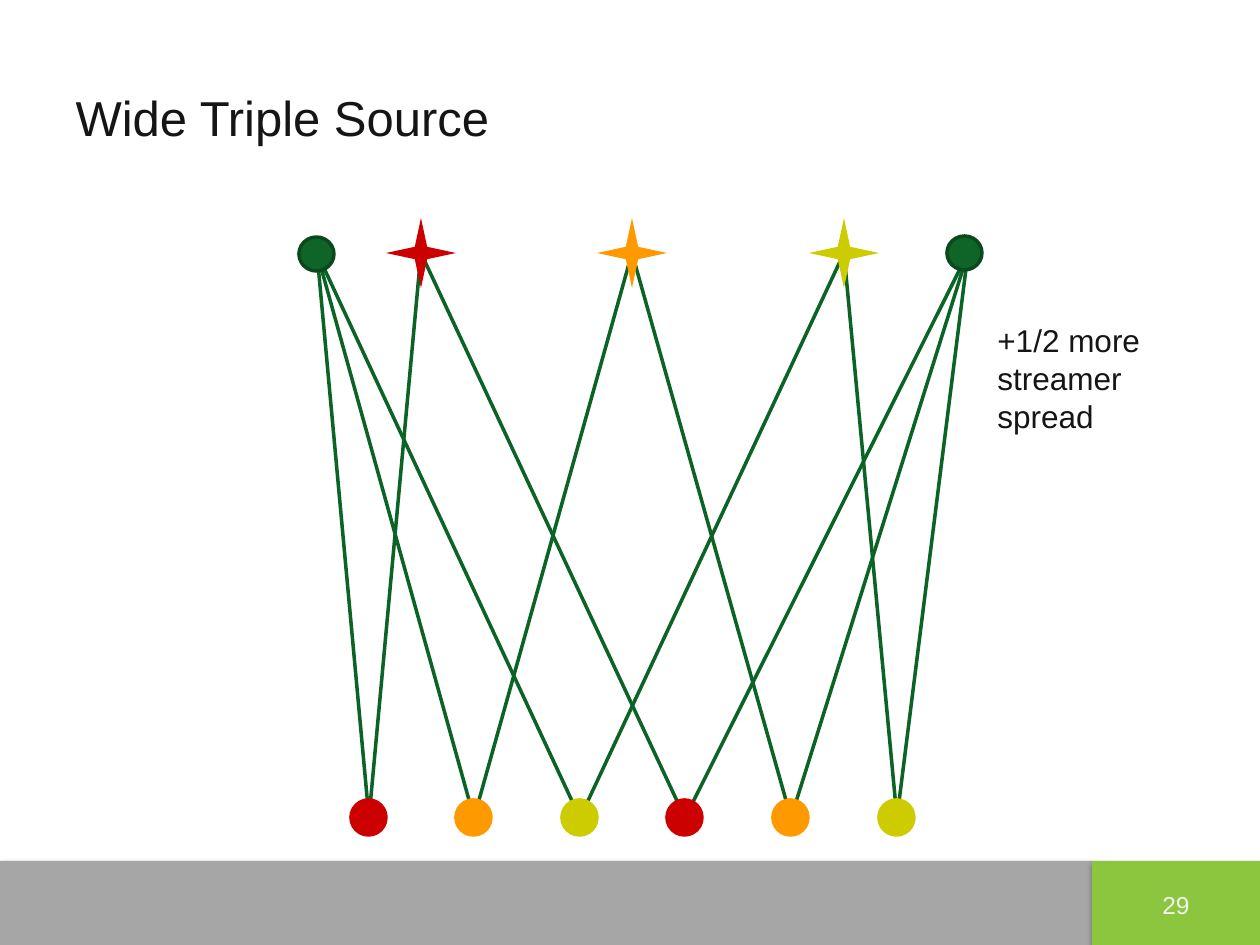
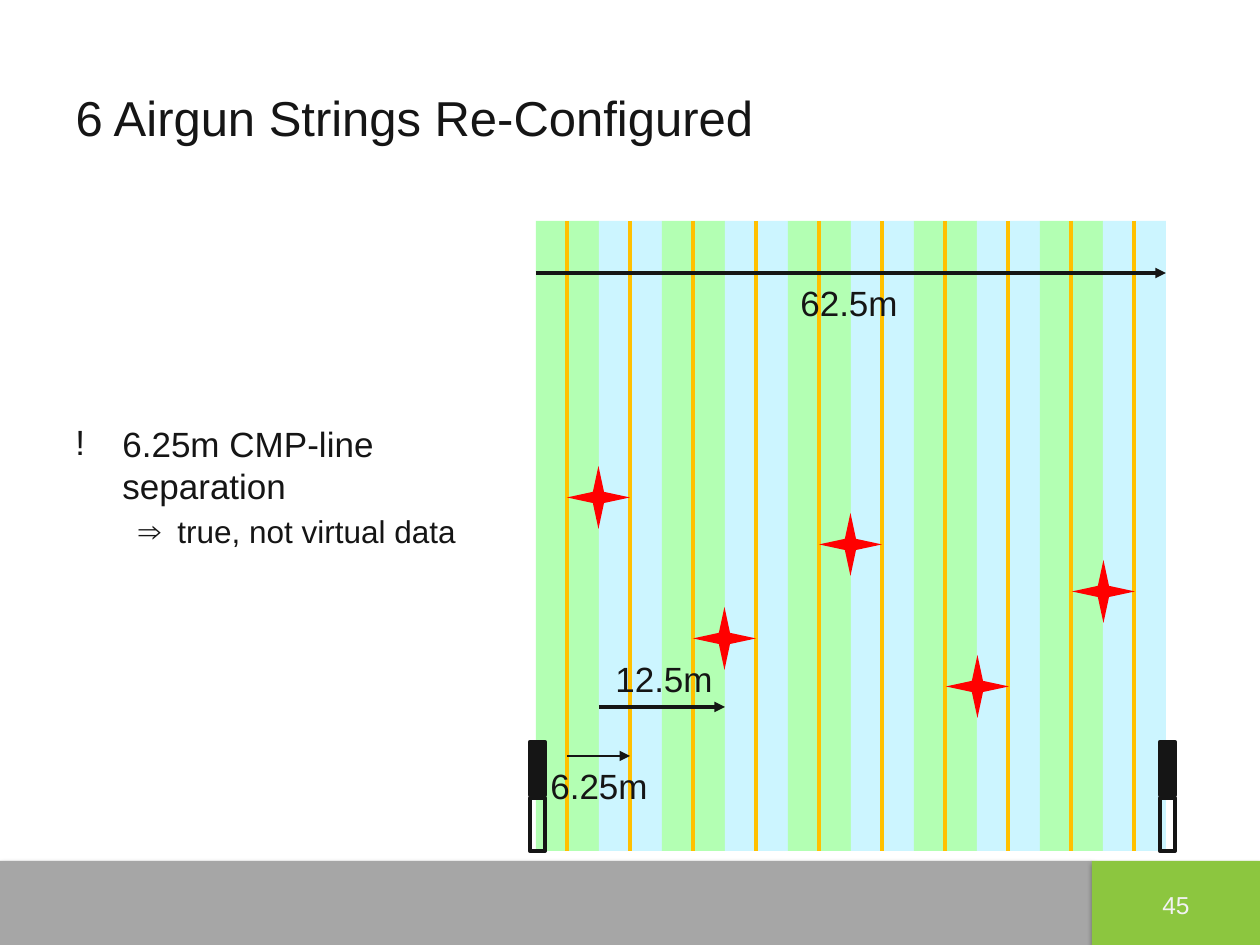
from dataclasses import dataclass

from lxml.etree import SubElement
from pptx import Presentation
from pptx.dml.color import RGBColor
from pptx.enum.shapes import MSO_CONNECTOR as Connector, MSO_SHAPE as Preset
from pptx.enum.text import MSO_ANCHOR as Anchor, MSO_AUTO_SIZE as AutoSize, PP_ALIGN as Align
from pptx.oxml.ns import qn
from pptx.util import Inches, Pt

PX = 7257


@dataclass(frozen=True)
class Theme:
    font: str = "Arial"
    text: str = "151515"
    footer: str = "A6A6A6"
    accent: str = "8CC63F"
    footer_text: str = "F2F2F2"
    ray: str = "0C6326"
    buoy: str = "0F6428"
    buoy_edge: str = "0B491D"
    sources: tuple = ("CC0000", "FF9900", "CCCC00")
    stripes: tuple = ("B3FFB3", "CCF5FF")
    cmp_line: str = "FFC000"
    airgun: str = "FF0000"
    title_size: int = 28
    body_size: int = 20
    detail_size: int = 18
    number_size: int = 14


theme = Theme()


def draw_shape(slide, preset, box, fill=None, edge=None, weight=2):
    shape = slide.shapes.add_shape(preset, *[value * PX for value in box])
    shape.shadow.inherit = False
    if fill:
        shape.fill.solid()
        shape.fill.fore_color.rgb = RGBColor.from_string(fill)
    else:
        shape.fill.background()
    if edge:
        shape.line.color.rgb = RGBColor.from_string(edge)
        shape.line.width = Pt(weight)
    else:
        shape.line.fill.background()
    if preset == Preset.STAR_4_POINT:
        shape.adjustments[0] = 0.125
    return shape


def draw_line(slide, start, end, color, weight, arrow=False):
    line = slide.shapes.add_connector(
        Connector.STRAIGHT, *[value * PX for value in (*start, *end)])
    line.line.color.rgb = RGBColor.from_string(color)
    line.line.width = Pt(weight)
    if arrow:
        SubElement(line.line._get_or_add_ln(), qn("a:tailEnd"), type="triangle")
    SubElement(line._element.spPr, qn("a:effectLst"))


presentation = Presentation()
presentation.slide_width = Inches(10)
presentation.slide_height = Inches(7.5)

slides = []
for title_text in ("Wide Triple Source", "6 Airgun Strings Re-Configured"):
    slide = presentation.slides.add_slide(presentation.slide_layouts[5])
    slides.append(slide)
    for left, width, color in ((0, 1092, theme.footer), (1092, 168, theme.accent)):
        band = draw_shape(slide, Preset.RECTANGLE, (left, 861, width, 84), color)
        effects = band._element.spPr.find(qn("a:effectLst"))
        shadow = SubElement(effects, qn("a:outerShdw"), blurRad="39370",
                            dist="22860", dir="5400000", rotWithShape="0")
        shadow_color = SubElement(shadow, qn("a:srgbClr"), val="000000")
        SubElement(shadow_color, qn("a:alpha"), val="35000")
    title = slide.shapes.title
    title.left, title.top, title.width, title.height = [
        value * PX for value in (63, 38, 1134, 157)]
    frame = title.text_frame
    frame.auto_size = AutoSize.NONE
    frame.vertical_anchor = Anchor.MIDDLE
    paragraph = frame.paragraphs[0]
    paragraph.alignment = Align.LEFT
    run = paragraph.add_run()
    run.text = title_text
    run.font.name = theme.font
    run.font.size = Pt(theme.title_size)
    run.font.color.rgb = RGBColor.from_string(theme.text)

source_slide, airgun_slide = slides

buoys = ((317, 254), (965, 253))
buoy_ends = ((317, 253), (968, 253))
sources = [(421 + 423 * index // 2, 253) for index in range(3)]
receivers = [(369 + 528 * index // 5, 818) for index in range(6)]
for index, receiver in enumerate(receivers):
    for start in (buoy_ends[index // 3], sources[index % 3]):
        draw_line(source_slide, start, receiver, theme.ray, 2)
for x, y in buoys:
    draw_shape(source_slide, Preset.OVAL, (x - 18, y - 17, 35, 34),
               theme.buoy, theme.buoy_edge)
for (x, y), color in zip(sources, theme.sources):
    draw_shape(source_slide, Preset.STAR_4_POINT, (x - 35, y - 35, 70, 70), color)
for index, (x, y) in enumerate(receivers):
    color = theme.sources[index % 3]
    draw_shape(source_slide, Preset.OVAL, (x - 18, y - 18, 35, 35), color, color)

for index in range(10):
    draw_shape(airgun_slide, Preset.RECTANGLE, (536 + 63 * index, 221, 63, 630),
               theme.stripes[index % 2])
for index in range(10):
    x = 567 + 63 * index
    draw_line(airgun_slide, (x, 221), (x, 851), theme.cmp_line, 2.5)
for index, top in enumerate((466, 607, 513, 560, 655)):
    step = (0, 1, 2, 4, 3)[index]
    draw_shape(airgun_slide, Preset.STAR_4_POINT,
               (567 + 379 * step // 3, top, 63, 63), theme.airgun)
for left in (530, 1160):
    for top, fill in ((742, theme.text), (798, None)):
        draw_shape(airgun_slide, Preset.RECTANGLE, (left, top, 15, 53),
                   fill, theme.text, 2.5)
for left, right, y, weight in ((567, 630, 756, 1.5), (599, 725, 707, 2),
                               (536, 1166, 273, 2)):
    draw_line(airgun_slide, (left, y), (right, y), theme.text, weight, arrow=True)

spread_lines = ("+1/2 more", "streamer", "spread")
labels = (
    (source_slide, (1142, 884, 68, 42), ("29",), theme.number_size, theme.footer_text, Align.CENTER),
    (airgun_slide, (1142, 884, 68, 42), ("45",), theme.number_size, theme.footer_text, Align.CENTER),
    (source_slide, (985, 315, 180, 126), spread_lines, theme.detail_size, theme.text, Align.LEFT),
    (airgun_slide, (538, 758, 140, 54), ("6.25m",), theme.body_size, theme.text, Align.LEFT),
    (airgun_slide, (603, 651, 140, 54), ("12.5m",), theme.body_size, theme.text, Align.LEFT),
    (airgun_slide, (788, 275, 140, 54), ("62.5m",), theme.body_size, theme.text, Align.LEFT),
)
for slide, box, lines, size, color, alignment in labels:
    frame = slide.shapes.add_textbox(*[value * PX for value in box]).text_frame
    frame.word_wrap = True
    paragraph = frame.paragraphs[0]
    paragraph.alignment = alignment
    for index, line_text in enumerate(lines):
        if index:
            paragraph.add_line_break()
        run = paragraph.add_run()
        run.text = line_text
        run.font.name = theme.font
        run.font.size = Pt(size)
        run.font.color.rgb = RGBColor.from_string(color)

bullets = (
    ("!", 47, 47, 0, theme.body_size, ("6.25m CMP-line", "separation")),
    ("⇒", 102, 39, 3.6, theme.detail_size, ("true, not virtual data",)),
)
frame = airgun_slide.shapes.add_textbox(
    *[value * PX for value in (63, 416, 460, 150)]).text_frame
frame.word_wrap = True
for level, (mark, margin, hanging, space, size, lines) in enumerate(bullets):
    paragraph = frame.add_paragraph() if level else frame.paragraphs[0]
    paragraph.level = level
    if space:
        paragraph.space_before = Pt(space)
    properties = paragraph._p.get_or_add_pPr()
    properties.set("marL", str(margin * PX))
    properties.set("indent", str(-hanging * PX))
    bullet_color = SubElement(properties, qn("a:buClr"))
    SubElement(bullet_color, qn("a:srgbClr"), val=theme.text)
    SubElement(properties, qn("a:buFont"), typeface=theme.font)
    SubElement(properties, qn("a:buChar"), char=mark)
    for index, line_text in enumerate(lines):
        if index:
            paragraph.add_line_break()
        run = paragraph.add_run()
        run.text = line_text
        run.font.name = theme.font
        run.font.size = Pt(size)
        run.font.color.rgb = RGBColor.from_string(theme.text)

presentation.save("out.pptx")
